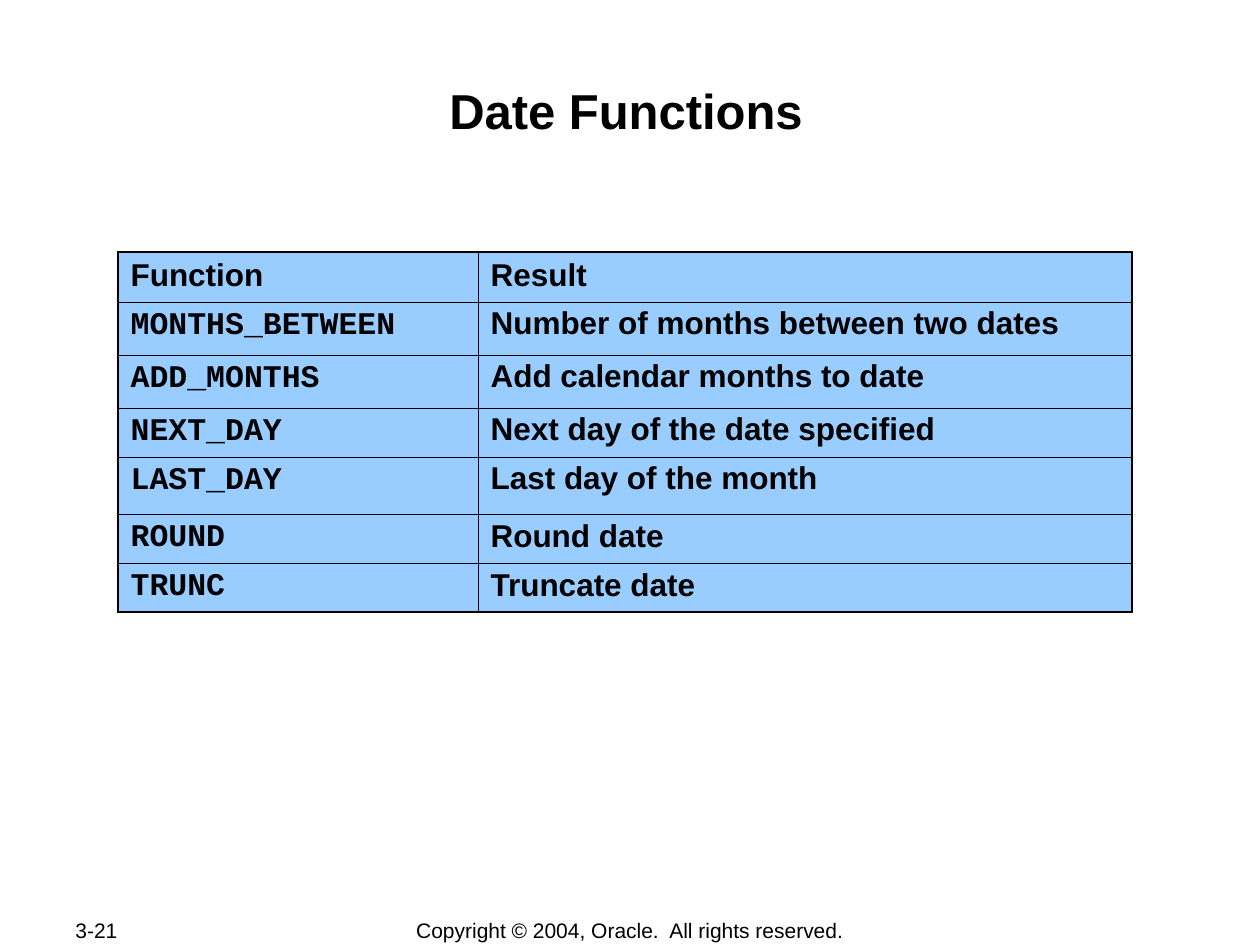
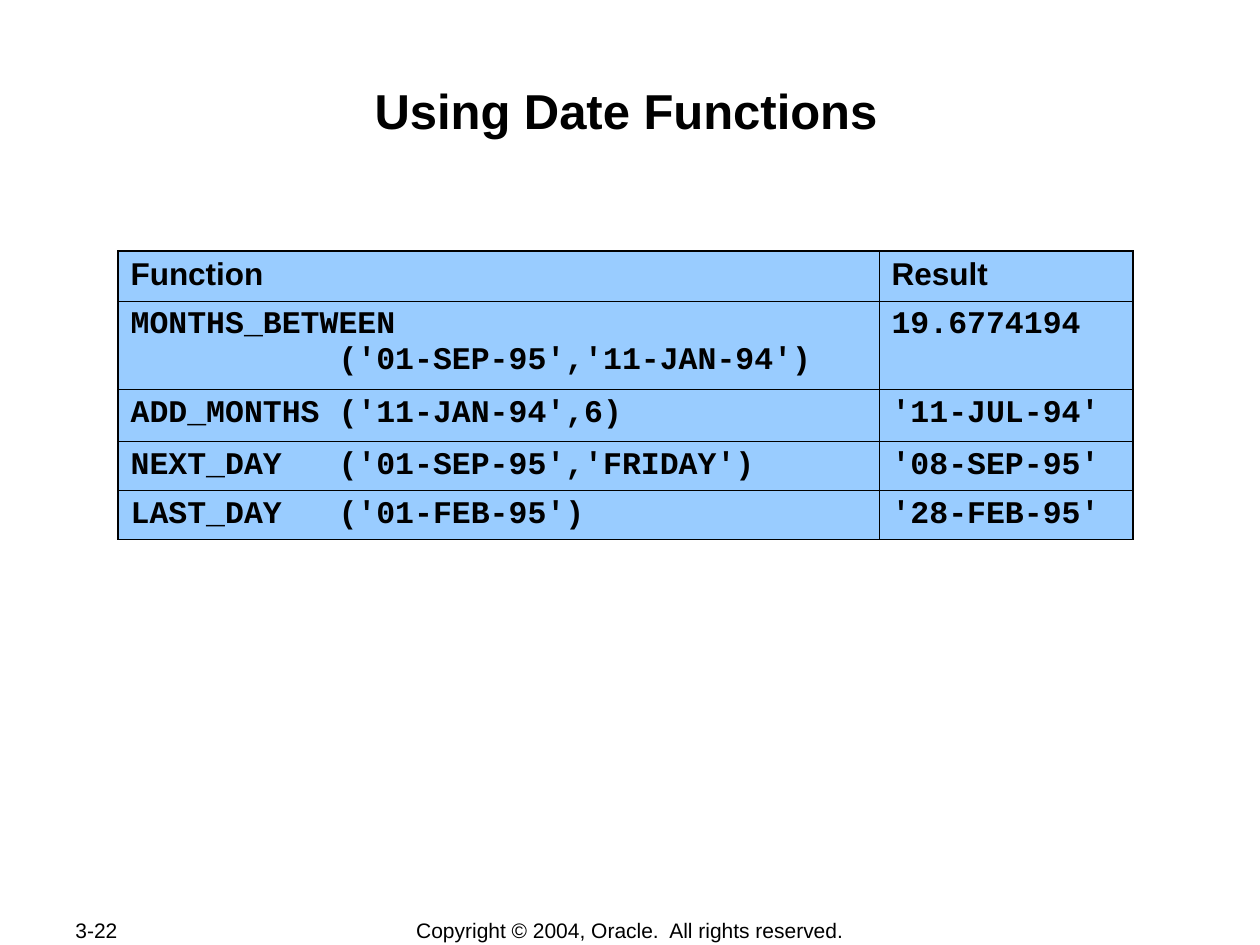
"""Build two slides of date function tables."""
from dataclasses import dataclass

from lxml.etree import SubElement
from pptx import Presentation
from pptx.dml.color import RGBColor
from pptx.enum.text import MSO_ANCHOR, MSO_AUTO_SIZE, PP_ALIGN
from pptx.oxml.ns import qn
from pptx.util import Emu, Pt

BLACK = RGBColor(0x00, 0x00, 0x00)
WHITE = RGBColor(0xFF, 0xFF, 0xFF)
SKY = RGBColor(0x99, 0xCC, 0xFF)
SANS = "Arial"
MONO = "Courier New"
THICK = Pt(1.08)
THIN = Pt(0.45)
EMU_PER_PX = 914400 / 126
TITLE_ONLY = 5
TABLE_LEFT = 118
COPYRIGHT = "Copyright © 2004, Oracle.  All rights reserved."


@dataclass(frozen=True)
class Row:
    function: str
    result: str
    height: int
    spacing: float = 0.95


@dataclass(frozen=True)
class FunctionSlide:
    title: str
    number: str
    top: int
    widths: tuple[int, int]
    result_font: str
    rows: tuple[Row, ...]


HEADER = Row("Function", "Result", 50, 1.0)

SLIDES = (
    FunctionSlide("Date Functions", "3-21", 252, (360, 654), SANS, (
        HEADER,
        Row("MONTHS_BETWEEN", "Number of months between two dates", 53, 0.9),
        Row("ADD_MONTHS", "Add calendar months to date", 53, 0.9),
        Row("NEXT_DAY", "Next day of the date specified", 49, 0.9),
        Row("LAST_DAY", "Last day of the month", 57, 0.9),
        Row("ROUND", "Round date", 49),
        Row("TRUNC", "Truncate date", 48),
    )),
    FunctionSlide("Using Date Functions", "3-22", 251, (761, 254), MONO, (
        HEADER,
        Row("MONTHS_BETWEEN\n           ('01-SEP-95','11-JAN-94')", "19.6774194", 88, 1.0),
        Row("ADD_MONTHS ('11-JAN-94',6)", "'11-JUL-94'", 52),
        Row("NEXT_DAY   ('01-SEP-95','FRIDAY')", "'08-SEP-95'", 49),
        Row("LAST_DAY   ('01-FEB-95')", "'28-FEB-95'", 49),
    )),
)


def px(length: int) -> Emu:
    """Turn pixels into EMU."""
    return Emu(round(length * EMU_PER_PX))


def write(frame, text: str, font: str, size: int, bold: bool,
          align=PP_ALIGN.LEFT, spacing: float = 1.0) -> None:
    """Fill a text frame and format every run."""
    frame.text = text
    for para in frame.paragraphs:
        para.alignment = align
        para.line_spacing = spacing
        para.space_before = Pt(0)
        for span in para.runs:
            span.font.name = font
            span.font.size = Pt(size)
            span.font.bold = bold
            span.font.color.rgb = BLACK


def add_title(page, text: str) -> None:
    """Place and format the slide title."""
    title = page.shapes.title
    title.left, title.top, title.width, title.height = map(px, (122, 73, 1008, 121))
    frame = title.text_frame
    frame.auto_size = MSO_AUTO_SIZE.NONE
    frame.vertical_anchor = MSO_ANCHOR.TOP
    frame.margin_left = frame.margin_right = frame.margin_bottom = px(1)
    frame.margin_top = px(7)
    write(frame, text, SANS, 28, True, PP_ALIGN.CENTER)


def add_footer(page, text: str, left: int, width: int, align) -> None:
    """Add one footer text box."""
    box = page.shapes.add_textbox(px(left), px(917), px(width), px(26))
    frame = box.text_frame
    frame.word_wrap = True
    frame.vertical_anchor = MSO_ANCHOR.MIDDLE
    write(frame, text, SANS, 12, False, align)


def add_border(cell, side: str, width: Emu) -> None:
    """Draw one cell border."""
    line = SubElement(cell._tc.get_or_add_tcPr(), qn(f"a:ln{side}"), w=str(int(width)))
    fill = SubElement(line, qn("a:solidFill"))
    SubElement(fill, qn("a:srgbClr"), val=str(BLACK))


def add_function_table(page, content: FunctionSlide) -> None:
    """Add the table of functions and results."""
    rows = content.rows
    height = sum(row.height for row in rows)
    table = page.shapes.add_table(
        len(rows), 2, px(TABLE_LEFT), px(content.top),
        px(sum(content.widths)), px(height)).table
    table.first_row = table.horz_banding = False
    for column, width in zip(table.columns, content.widths):
        column.width = px(width)
    for index, row in enumerate(rows):
        table.rows[index].height = px(row.height)
        is_header = index == 0
        top = THICK if index <= 1 else THIN
        bottom = THICK if index in (0, len(rows) - 1) else THIN
        fonts = (SANS, SANS) if is_header else (MONO, content.result_font)
        sides = ((THICK, THIN), (THIN, THICK))
        for position, text in enumerate((row.function, row.result)):
            cell = table.cell(index, position)
            left, right = sides[position]
            for side, width in zip("LRTB", (left, right, top, bottom)):
                add_border(cell, side, width)
            cell.fill.solid()
            cell.fill.fore_color.rgb = SKY
            write(cell.text_frame, text, fonts[position], 18, True, spacing=row.spacing)


def add_function_slide(deck, content: FunctionSlide) -> None:
    """Build one complete slide."""
    page = deck.slides.add_slide(deck.slide_layouts[TITLE_ONLY])
    page.background.fill.solid()
    page.background.fill.fore_color.rgb = WHITE
    add_footer(page, content.number, 63, 134, PP_ALIGN.LEFT)
    add_footer(page, COPYRIGHT, 347, 566, PP_ALIGN.CENTER)
    add_title(page, content.title)
    add_function_table(page, content)


def main() -> None:
    """Create and save the deck."""
    deck = Presentation()
    deck.slide_width, deck.slide_height = px(1260), px(945)
    for content in SLIDES:
        add_function_slide(deck, content)
    deck.save("out.pptx")


if __name__ == "__main__":
    main()
